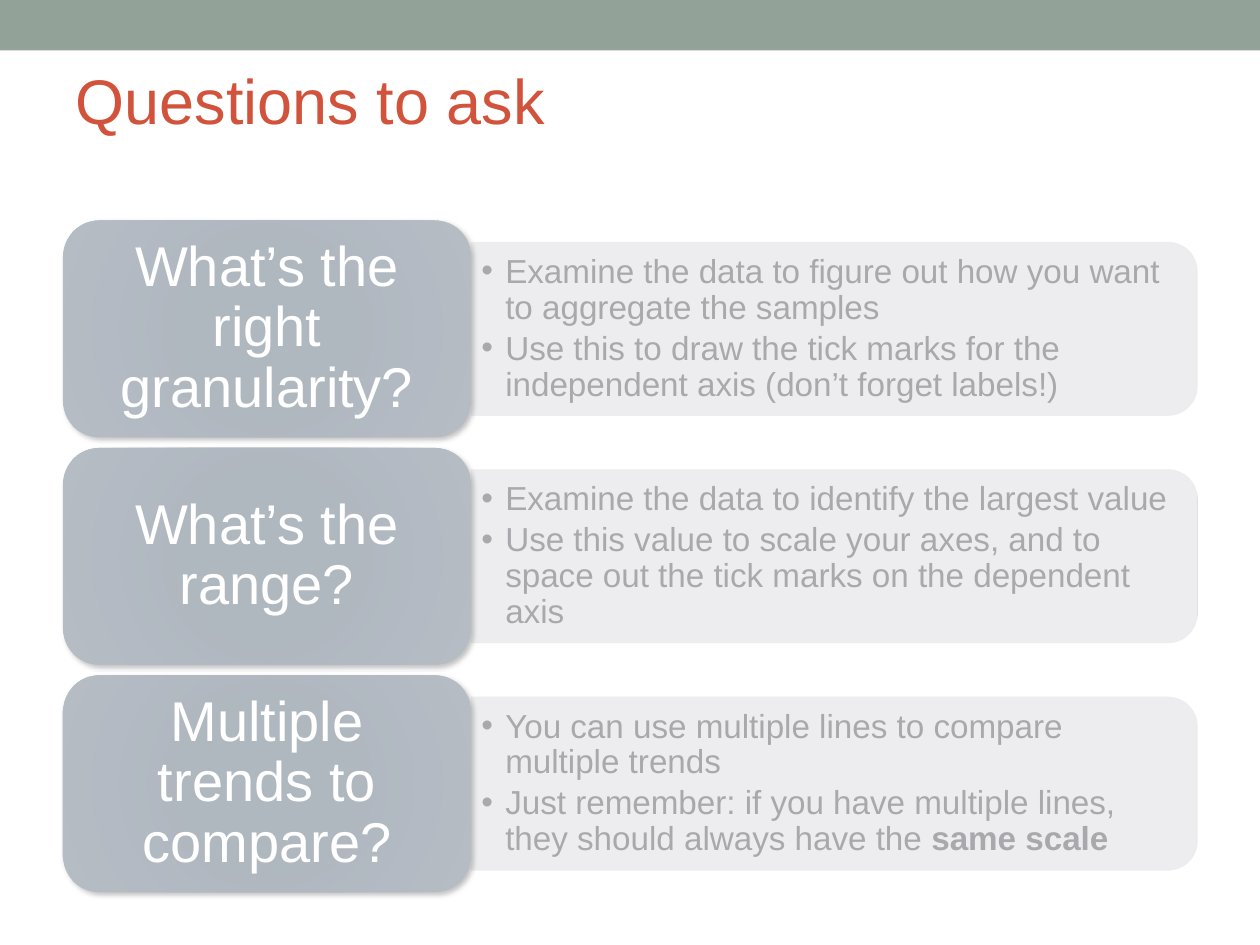
"""Build the "Questions to ask" slide: three question cards with advice panels under a pale veil."""
from dataclasses import dataclass

from lxml import etree
from pptx import Presentation
from pptx.dml.color import RGBColor
from pptx.enum.shapes import MSO_SHAPE
from pptx.enum.text import MSO_ANCHOR, MSO_AUTO_SIZE, PP_ALIGN
from pptx.oxml.ns import qn
from pptx.util import Inches, Pt

RECT = MSO_SHAPE.RECTANGLE
CARD = MSO_SHAPE.ROUNDED_RECTANGLE
PANEL = MSO_SHAPE.ROUND_2_SAME_RECTANGLE
MIDDLE = MSO_ANCHOR.MIDDLE
LEFT, CENTER = PP_ALIGN.LEFT, PP_ALIGN.CENTER
NO_AUTOFIT = MSO_AUTO_SIZE.NONE

TITLE = "Questions to ask"
QUESTIONS = [
    ("What’s the right granularity?", [
        [("Examine the data to figure out how you want to aggregate the samples", False)],
        [("Use this to draw the tick marks for the independent axis (don’t forget labels!)", False)],
    ]),
    ("What’s the range?", [
        [("Examine the data to identify the largest value", False)],
        [("Use this value to scale your axes, and to space out the tick marks on the dependent axis", False)],
    ]),
    ("Multiple trends to compare?", [
        [("You can use multiple lines to compare multiple trends", False)],
        [("Just remember: if you have multiple lines, they should always have the ", False),
         ("same scale", True)],
    ]),
]
VEIL_LEFTS = [0.33, 0.25, 0.5]


@dataclass(frozen=True)
class Theme:
    font: str = "Arial"
    band: str = "93A299"
    title: str = "D2533C"
    panel: str = "CED0D3"
    body: str = "292934"
    white: str = "FFFFFF"
    shadow: str = "000000"
    card_stops: tuple = ((0, "384B60"), (34, "394B5F"), (70, "41546B"), (100, "4B5A6A"))
    title_size: int = 36
    question_size: int = 32
    advice_size: int = 19


THEME = Theme()
TOP, PITCH = 1.75, 1.805
CARD_LEFT, CARD_WIDTH, CARD_HEIGHT = 0.5, 3.24, 1.72
PANEL_WIDTH, PANEL_HEIGHT = 5.76, 1.37
ADVICE_WIDTH, ADVICE_HEIGHT = 5.69, 1.24
VEIL_TOP, VEIL_WIDTH, VEIL_HEIGHT = 1.67, 9.25, 1.83
ROUNDING = 0.167


def add_child(parent, tag, **attributes):
    return etree.SubElement(parent, qn(tag), {key: str(value) for key, value in attributes.items()})


def set_opacity(fill_owner, percent):
    for color in fill_owner.iter(qn("a:srgbClr")):
        add_child(color, "a:alpha", val=percent * 1000)


def add_block(slide, preset, box, color):
    block = slide.shapes.add_shape(preset, *map(Inches, box))
    block.shadow.inherit = False
    block.fill.solid()
    block.fill.fore_color.rgb = RGBColor.from_string(color)
    block.line.fill.background()
    return block


def set_frame(frame, side, edge):
    frame.word_wrap = True
    frame.auto_size = NO_AUTOFIT
    frame.vertical_anchor = MIDDLE
    frame.margin_left = frame.margin_right = Inches(side)
    frame.margin_top = frame.margin_bottom = Inches(edge)


def add_run(paragraph, text, size, color, bold=False):
    run = paragraph.add_run()
    run.text = text
    run.font.name = THEME.font
    run.font.size = Pt(size)
    run.font.bold = bold
    run.font.color.rgb = RGBColor.from_string(color)


def add_title(slide):
    title = slide.shapes.title
    title.left, title.top, title.width, title.height = map(Inches, (0.5, 0.25, 9, 1.08))
    set_frame(title.text_frame, 0.1, 0.05)
    paragraph = title.text_frame.paragraphs[0]
    paragraph.alignment = LEFT
    add_run(paragraph, TITLE, THEME.title_size, THEME.title)


def add_panel(slide, left, middle):
    box = (left + (PANEL_WIDTH - PANEL_HEIGHT) / 2, middle - PANEL_WIDTH / 2, PANEL_HEIGHT, PANEL_WIDTH)
    panel = add_block(slide, PANEL, box, THEME.panel)
    panel.rotation = 90
    panel.adjustments[0], panel.adjustments[1] = ROUNDING, 0
    panel.line.color.rgb = RGBColor.from_string(THEME.panel)
    panel.line.width = Pt(0.75)
    set_opacity(panel.element.spPr, 90)


def add_advice(slide, left, middle, points):
    box = (left, middle - ADVICE_HEIGHT / 2, ADVICE_WIDTH, ADVICE_HEIGHT)
    frame = slide.shapes.add_textbox(*map(Inches, box)).text_frame
    set_frame(frame, 0.08, 0.04)
    for index, runs in enumerate(points):
        paragraph = frame.add_paragraph() if index else frame.paragraphs[0]
        paragraph.level = 1
        paragraph.line_spacing = 0.9
        paragraph.space_before = Pt(2.9 if index else 0)
        properties = paragraph._p.get_or_add_pPr()
        properties.set("marL", str(Inches(0.19)))
        properties.set("indent", str(Inches(-0.19)))
        add_child(add_child(properties, "a:buClr"), "a:srgbClr", val=THEME.body)
        add_child(properties, "a:buFont", typeface=THEME.font)
        add_child(properties, "a:buChar", char="•")
        for text, bold in runs:
            add_run(paragraph, text, THEME.advice_size, THEME.body, bold)


def add_card(slide, middle, question):
    box = (CARD_LEFT, middle - CARD_HEIGHT / 2, CARD_WIDTH, CARD_HEIGHT)
    card = add_block(slide, CARD, box, THEME.card_stops[0][1])
    card.adjustments[0] = ROUNDING
    properties = card.element.spPr
    gradient = etree.Element(qn("a:gradFill"), rotWithShape="1")
    stops = add_child(gradient, "a:gsLst")
    for position, color in THEME.card_stops:
        add_child(add_child(stops, "a:gs", pos=position * 1000), "a:srgbClr", val=color)
    circle = add_child(gradient, "a:path", path="circle")
    add_child(circle, "a:fillToRect", l=50000, t=50000, r=50000, b=50000)
    properties.replace(properties.find(qn("a:solidFill")), gradient)
    shadow = add_child(properties.find(qn("a:effectLst")), "a:outerShdw", blurRad=Pt(3),
                       dist=Pt(2), dir=45 * 60000, rotWithShape=0)
    add_child(shadow, "a:srgbClr", val=THEME.shadow)
    set_opacity(shadow, 60)
    set_frame(card.text_frame, 0.21, 0.15)
    paragraph = card.text_frame.paragraphs[0]
    paragraph.alignment = CENTER
    paragraph.line_spacing = 0.9
    add_run(paragraph, question, THEME.question_size, THEME.white)


def main():
    deck = Presentation()
    deck.slide_width, deck.slide_height = Inches(10), Inches(7.5)
    slide = deck.slides.add_slide(deck.slide_layouts.get_by_name("Title Only"))
    add_block(slide, RECT, (0, 0, 10, 0.4), THEME.band)
    add_title(slide)
    panel_left = CARD_LEFT + CARD_WIDTH
    for row, (question, points) in enumerate(QUESTIONS):
        middle = TOP + row * PITCH + CARD_HEIGHT / 2
        add_panel(slide, panel_left, middle)
        add_advice(slide, panel_left, middle, points)
        add_card(slide, middle, question)
    for row, left in enumerate(VEIL_LEFTS):
        box = (left, VEIL_TOP + row * VEIL_HEIGHT, VEIL_WIDTH, VEIL_HEIGHT)
        veil = add_block(slide, RECT, box, THEME.white)
        set_opacity(veil.element.spPr, 60)
    deck.save("out.pptx")


if __name__ == "__main__":
    main()
